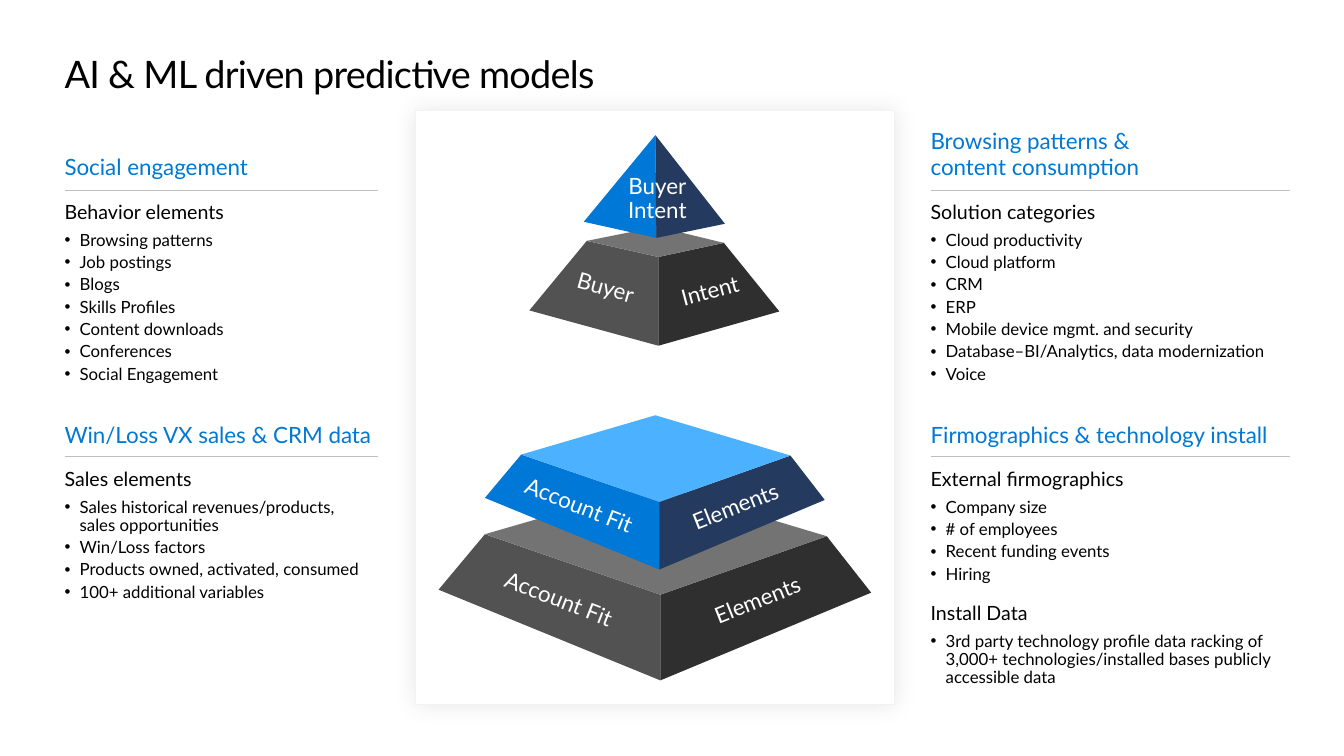
from dataclasses import dataclass

from lxml.etree import SubElement
from pptx import Presentation
from pptx.dml.color import RGBColor
from pptx.enum.shapes import MSO_CONNECTOR, MSO_SHAPE
from pptx.enum.text import MSO_ANCHOR, MSO_AUTO_SIZE, PP_ALIGN
from pptx.oxml.ns import qn
from pptx.util import Emu, Pt

SCALE = 9144  # EMU per px, 100 px to the inch


@dataclass(frozen=True)
class Theme:
    font: str = "Lato"
    black: str = "000000"
    white: str = "FFFFFF"
    heading: str = "0078D4"
    rule: str = "BFBFBF"
    card_edge: str = "F2F2F2"
    # Left, right and top face of a pyramid tier
    gray: tuple = ("525252", "2F2F2F", "737373")
    blue: tuple = ("0078D7", "243A5E", "4CB1FF")
    title_size: int = 27
    heading_size: int = 16
    subheading_size: int = 14
    bullet_size: int = 12


THEME = Theme()

# Corners: top left, front, top right, back, bottom left, bottom front, bottom right
# Labels: text, left, top, width, height, rotation
TIERS = [
    (THEME.gray,
     [(481, 530), (655, 590), (820, 532), (650, 481), (435, 585), (655, 675), (864, 588)],
     [("Account Fit", 497, 580, 115, 27, 21.3), ("Elements", 705, 581, 92, 27, -21.7)]),
    (THEME.blue,
     [(517, 451), (654, 498), (784, 452), (650, 412), (481, 494), (654, 565), (818, 496)],
     [("Account Fit", 517, 487, 115, 27, 21.3), ("Elements", 683, 488, 92, 27, -21.7)]),
    (THEME.gray,
     [(582, 239), (653, 255), (718, 241), (652, 225), (525, 308), (653, 343), (773, 309)],
     [("Buyer", 568, 267, 67, 31, 15.8), ("Intent", 665, 270, 77, 31, -15)]),
]

# Heading bottom, rule y and list top of a section
UPPER, LOWER = (179, 189, 198), (444, 453, 463)
# Left, width and sections; a section holds lists of (subheading, bullets)
COLUMNS = [
    (64, 311, [
        (UPPER, "Social engagement", [
            ("Behavior elements", ["Browsing patterns", "Job postings", "Blogs", "Skills Profiles",
                                   "Content downloads", "Conferences", "Social Engagement"])]),
        (LOWER, "Win/Loss VX sales & CRM data", [
            ("Sales elements", ["Sales historical revenues/products,\vsales opportunities",
                                "Win/Loss factors", "Products owned, activated, consumed",
                                "100+ additional variables"])]),
    ]),
    (923, 356, [
        (UPPER, "Browsing patterns &\vcontent consumption", [
            ("Solution categories", ["Cloud productivity", "Cloud platform", "CRM", "ERP",
                                     "Mobile device mgmt. and security",
                                     "Database–BI/Analytics, data modernization", "Voice"])]),
        (LOWER, "Firmographics & technology install", [
            ("External firmographics", ["Company size", "# of employees",
                                        "Recent funding events", "Hiring"]),
            ("Install Data", ["3rd party technology profile data racking of\v"
                              "3,000+ technologies/installed bases publicly\v"
                              "accessible data"])]),
    ]),
]


def px(*lengths):
    return [Emu(length * SCALE) for length in lengths]


def paint(shape, color):
    shape.shadow.inherit = False
    shape.fill.solid()
    shape.fill.fore_color.rgb = RGBColor.from_string(color)
    shape.line.fill.background()


def style(paragraph, size, color):
    paragraph.font.name = THEME.font
    paragraph.font.size = Pt(size)
    paragraph.font.color.rgb = RGBColor.from_string(color)


def fit_frame(frame, anchor=MSO_ANCHOR.TOP, wrap=False):
    frame.margin_left = frame.margin_top = frame.margin_right = frame.margin_bottom = 0
    frame.word_wrap = wrap
    frame.auto_size = MSO_AUTO_SIZE.SHAPE_TO_FIT_TEXT
    frame.vertical_anchor = anchor


def add_title(slide, text):
    title = slide.shapes.title
    title.left, title.top, title.width, title.height = px(64, 50, 1205, 47)
    fit_frame(title.text_frame, wrap=True)
    paragraph = title.text_frame.paragraphs[0]
    paragraph.text = text
    paragraph.alignment = PP_ALIGN.LEFT
    style(paragraph, THEME.title_size, THEME.black)
    paragraph.runs[0]._r.get_or_add_rPr().set("spc", "-50")


def add_card(shapes):
    card = shapes.add_shape(MSO_SHAPE.RECTANGLE, *px(412, 110, 475, 589))
    paint(card, THEME.white)
    card.line.color.rgb = RGBColor.from_string(THEME.card_edge)
    card.line.width = Pt(0.75)
    effects = card._element.spPr.find(qn("a:effectLst"))
    shadow = SubElement(effects, qn("a:outerShdw"), blurRad=str(int(Pt(17))), dist="0", dir="0",
                        algn="ctr", rotWithShape="0")
    color = SubElement(shadow, qn("a:srgbClr"), val=THEME.black)
    SubElement(color, qn("a:alpha"), val="10000")


def add_face(shapes, color, points):
    builder = shapes.build_freeform(*points[0], scale=SCALE)
    builder.add_line_segments(points[1:], close=True)
    paint(builder.convert_to_shape(), color)


def add_label(shapes, text, left, top, width, height, rotation=0, color=THEME.white,
              alignment=PP_ALIGN.CENTER):
    box = shapes.add_textbox(*px(left, top, width, height))
    box.rotation = rotation
    fit_frame(box.text_frame, MSO_ANCHOR.BOTTOM)
    paragraph = box.text_frame.paragraphs[0]
    paragraph.text = text
    paragraph.alignment = alignment
    paragraph.space_after = Pt(11.2)
    style(paragraph, THEME.heading_size, color)


def add_tier(shapes, colors, corners, labels):
    top_left, front, top_right, back, low_left, low_front, low_right = corners
    faces = [(top_left, low_left, low_front, front),
             (front, low_front, low_right, top_right),
             (top_left, back, top_right, front)]
    for color, face in zip(colors, faces):
        add_face(shapes, color, face)
    for label in labels:
        add_label(shapes, *label)


def add_tip(shapes):
    apex, front = (650, 134), (651, 236)
    add_face(shapes, THEME.blue[0], [apex, (579, 220), front])
    add_face(shapes, THEME.blue[1], [apex, front, (719, 222)])
    box = shapes.add_textbox(*px(620, 174, 64, 48))
    fit_frame(box.text_frame)
    box.text_frame.text = "Buyer\nIntent"
    for paragraph in box.text_frame.paragraphs:
        paragraph.alignment = PP_ALIGN.CENTER
        paragraph.line_spacing = 0.9
        style(paragraph, THEME.heading_size, THEME.white)


def add_rule(shapes, left, y, width):
    rule = shapes.add_connector(MSO_CONNECTOR.STRAIGHT, *px(left, y, left + width, y))
    rule.line.color.rgb = RGBColor.from_string(THEME.rule)
    rule.line.width = Pt(1.25)
    SubElement(rule._element.spPr, qn("a:effectLst"))


def format_bullet(paragraph):
    paragraph.line_spacing = 0.9
    properties = paragraph._p.get_or_add_pPr()
    indent = 15 * SCALE
    properties.set("marL", str(indent))
    properties.set("indent", str(-indent))
    SubElement(properties, qn("a:buFont"), typeface="Arial")
    SubElement(properties, qn("a:buChar"), char="•")


def add_lists(shapes, left, top, width, lists):
    height = 184 if len(lists) == 1 else 221
    box = shapes.add_textbox(*px(left, top, width, height))
    frame = box.text_frame
    fit_frame(frame)
    paragraph = None
    for subheading, bullets in lists:
        if paragraph is not None:
            paragraph.space_after = Pt(12)  # wider gap between two lists
        for index, text in enumerate([subheading, *bullets]):
            paragraph = frame.paragraphs[0] if paragraph is None else frame.add_paragraph()
            paragraph.text = text
            paragraph.alignment = PP_ALIGN.LEFT
            paragraph.space_after = Pt(3 if index else 6)
            if index:
                format_bullet(paragraph)
            style(paragraph, THEME.bullet_size if index else THEME.subheading_size, THEME.black)


def add_column(shapes, left, width, sections):
    for (heading_bottom, rule_y, list_top), heading, lists in sections:
        height = 27 * (heading.count("\v") + 1)
        add_label(shapes, heading, left, heading_bottom - height, width, height,
                  color=THEME.heading, alignment=PP_ALIGN.LEFT)
        add_lists(shapes, left, list_top, width, lists)
        add_rule(shapes, left, rule_y, width)


def main():
    presentation = Presentation()
    presentation.slide_width, presentation.slide_height = px(1333, 750)
    slide = presentation.slides.add_slide(presentation.slide_layouts[5])
    add_title(slide, "AI & ML driven predictive models")

    # Pyramid on its card, from the base up
    pyramid = slide.shapes.add_group_shape().shapes
    add_card(pyramid)
    for tier in TIERS:
        add_tier(pyramid, *tier)
    add_tip(pyramid)

    # Text columns on both sides
    for column in COLUMNS:
        add_column(slide.shapes.add_group_shape().shapes, *column)
    presentation.save("out.pptx")


if __name__ == "__main__":
    main()
